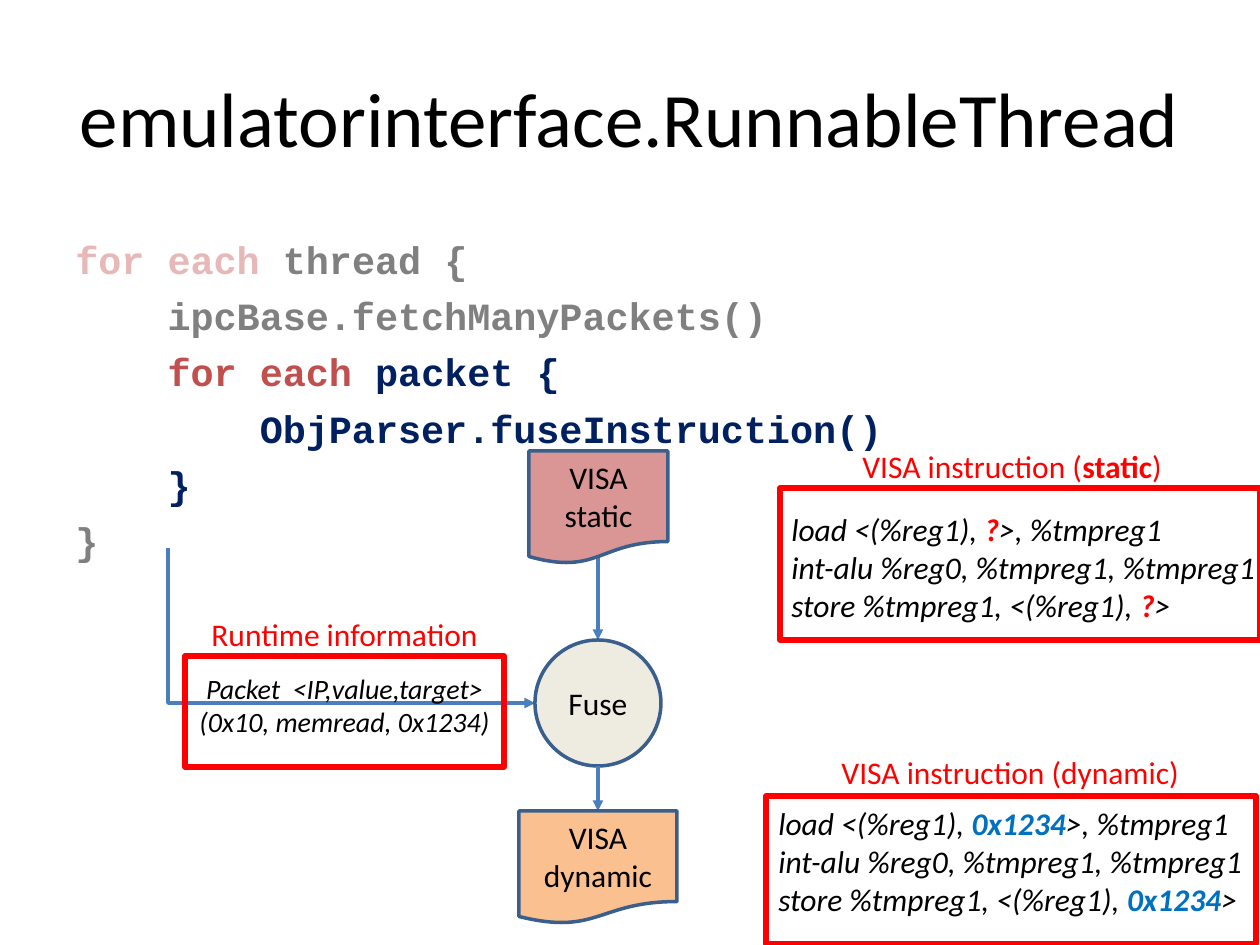
from dataclasses import dataclass

from lxml import etree
from pptx import Presentation
from pptx.dml.color import RGBColor
from pptx.enum.shapes import MSO_CONNECTOR, MSO_SHAPE
from pptx.enum.text import MSO_ANCHOR, MSO_AUTO_SIZE, PP_ALIGN
from pptx.oxml.ns import qn
from pptx.util import Emu, Pt

STRAIGHT, ELBOW = MSO_CONNECTOR.STRAIGHT, MSO_CONNECTOR.ELBOW
DOCUMENT, CIRCLE = MSO_SHAPE.FLOWCHART_DOCUMENT, MSO_SHAPE.FLOWCHART_CONNECTOR
RECT = MSO_SHAPE.RECTANGLE
TOP, MIDDLE = MSO_ANCHOR.TOP, MSO_ANCHOR.MIDDLE
LEFT, CENTER = PP_ALIGN.LEFT, PP_ALIGN.CENTER
GROW = MSO_AUTO_SIZE.SHAPE_TO_FIT_TEXT
EMU_PER_PX = 914400 / 126


@dataclass(frozen=True)
class Theme:
    body: str = "Calibri"
    mono: str = "Courier New"
    title_size: int = 44
    code_size: int = 22
    text_size: int = 18
    packet_size: int = 16
    code_gap: float = 5.7
    black: str = "000000"
    red: str = "FF0000"
    blue: str = "0070C0"
    faded_keyword: str = "E6B9B8"
    faded_code: str = "808080"
    keyword: str = "C0504D"
    code: str = "002060"
    arrow: str = "4B7EBC"
    outline: str = "3A5F8C"
    static: str = "D99694"
    dynamic: str = "FAC090"
    fuse: str = "EEECE1"


T = Theme()
LABEL = dict(name=T.body, size=T.text_size, color=T.red)
NODE = dict(LABEL, color=T.black)
INSTRUCTION = dict(NODE, italic=True)
PACKET = dict(INSTRUCTION, size=T.packet_size)
CODE = dict(name=T.mono, size=T.code_size, color=T.code, bold=True)
FADED = dict(CODE, color=T.faded_code)


def px(*values):
    return [Emu(round(v * EMU_PER_PX)) for v in values]


def set_font(font, fmt):
    for key, value in fmt.items():
        if key == "color":
            font.color.rgb = RGBColor.from_string(value)
        else:
            setattr(font, key, Pt(value) if key == "size" else value)


def write(tf, lines, align=LEFT, anchor=TOP, wrap=True, gap=0):
    tf.word_wrap = wrap
    tf.vertical_anchor = anchor
    for i, runs in enumerate(lines):
        p = tf.paragraphs[0] if i == 0 else tf.add_paragraph()
        p.alignment = align
        p.space_before = Pt(gap if i else 0)
        for text, fmt in runs:
            r = p.add_run()
            r.text = text
            set_font(r.font, fmt)


def add_text(s, box, lines, **layout):
    tf = s.shapes.add_textbox(*px(*box)).text_frame
    write(tf, lines, **layout)
    tf.auto_size = GROW


def add_box(s, kind, box, fill=None, line=T.outline, width=2, text=None):
    sp = s.shapes.add_shape(kind, *px(*box))
    sp.shadow.inherit = False
    if fill:
        sp.fill.solid()
        sp.fill.fore_color.rgb = RGBColor.from_string(fill)
    else:
        sp.fill.background()
    sp.line.color.rgb = RGBColor.from_string(line)
    sp.line.width = Pt(width)
    if text:
        write(sp.text_frame, [[(text, NODE)]], CENTER, MIDDLE)


def add_frame(s, box):
    add_box(s, RECT, box, line=T.red, width=3)


def add_arrow(s, kind, start, end):
    c = s.shapes.add_connector(kind, *px(*start, *end))
    c.line.color.rgb = RGBColor.from_string(T.arrow)
    c.line.width = Pt(2)
    etree.SubElement(c.line._get_or_add_ln(), qn("a:tailEnd"), type="triangle")
    etree.SubElement(c._element.spPr, qn("a:effectLst"))
    return c


def add_down_right_arrow(s, start, end):
    c = add_arrow(s, ELBOW, start, end)
    (x1, y1), (x2, y2) = start, end
    w, h = y2 - y1, x2 - x1
    c.left, c.top, c.width, c.height = px((x1 + x2 - w) / 2, (y1 + y2 - h) / 2, w, h)
    spPr = c._element.spPr
    spPr.find(qn("a:prstGeom")).set("prst", "bentConnector2")
    for key, value in dict(rot="16200000", flipH="1").items():
        spPr.find(qn("a:xfrm")).set(key, value)


def add_title(s, text):
    title = s.shapes.title
    title.left, title.top, title.width, title.height = px(63, 38, 1134, 157)
    fmt = dict(name=T.body, size=T.title_size, color=T.black)
    write(title.text_frame, [[(text, fmt)]], CENTER, MIDDLE)


def add_code(s):
    faded_keyword = dict(CODE, color=T.faded_keyword)
    keyword = dict(CODE, color=T.keyword)
    lines = [
        [("for each ", faded_keyword), ("thread {", FADED)],
        [("    ipcBase.fetchManyPackets()", FADED)],
        [("    for each ", keyword), ("packet {", CODE)],
        [("        ObjParser.fuseInstruction()", CODE)],
        [("    }", CODE)],
        [("}", FADED)],
    ]
    add_text(s, (63, 230, 1134, 315), lines, gap=T.code_gap)


def add_instructions(s, box, operand, color):
    value = (operand, dict(INSTRUCTION, color=color, bold=True))
    lines = [
        [("load <(%reg1), ", INSTRUCTION), value, (">, %tmpreg1", INSTRUCTION)],
        [("int-alu %reg0, %tmpreg1, %tmpreg1", INSTRUCTION)],
        [("store %tmpreg1, <(%reg1), ", INSTRUCTION), value, (">", INSTRUCTION)],
    ]
    add_text(s, box, lines, wrap=False)


def add_fuse_flow(s):
    add_arrow(s, STRAIGHT, (598, 557), (598, 640))
    add_down_right_arrow(s, (168, 548), (535, 703))
    add_box(s, CIRCLE, (535, 640, 126, 126), T.fuse, text="Fuse")
    add_arrow(s, STRAIGHT, (598, 766), (598, 811))
    add_box(s, DOCUMENT, (529, 451, 139, 113), T.static, text="VISA static")
    add_box(s, DOCUMENT, (519, 811, 158, 113), T.dynamic, text="VISA dynamic")


def add_runtime_panel(s):
    lines = [[("Packet  <IP,value,target>", PACKET)],
             [("(0x10, memread, 0x1234)", PACKET)]]
    add_text(s, (185, 665, 319, 81), lines, align=CENTER, wrap=False)
    add_frame(s, (185, 656, 319, 111))
    add_text(s, (199, 609, 319, 50), [[("Runtime information", LABEL)]])


def add_visa_panels(s):
    add_frame(s, (780, 488, 480, 152))
    label = [("VISA instruction (", LABEL), ("static", dict(LABEL, bold=True)), (")", LABEL)]
    add_text(s, (850, 441, 326, 50), [label], wrap=False)
    add_frame(s, (766, 796, 490, 148))
    add_text(s, (829, 747, 370, 50), [[("VISA instruction (dynamic)", LABEL)]])
    add_instructions(s, (779, 504, 503, 127), "?", T.red)
    add_instructions(s, (766, 798, 503, 127), "0x1234", T.blue)


def main():
    prs = Presentation()
    prs.slide_width, prs.slide_height = px(1260, 945)
    s = prs.slides.add_slide(prs.slide_layouts[5])
    add_title(s, "emulatorinterface.RunnableThread")
    add_code(s)
    add_fuse_flow(s)
    add_runtime_panel(s)
    add_visa_panels(s)
    prs.save("out.pptx")


if __name__ == "__main__":
    main()
